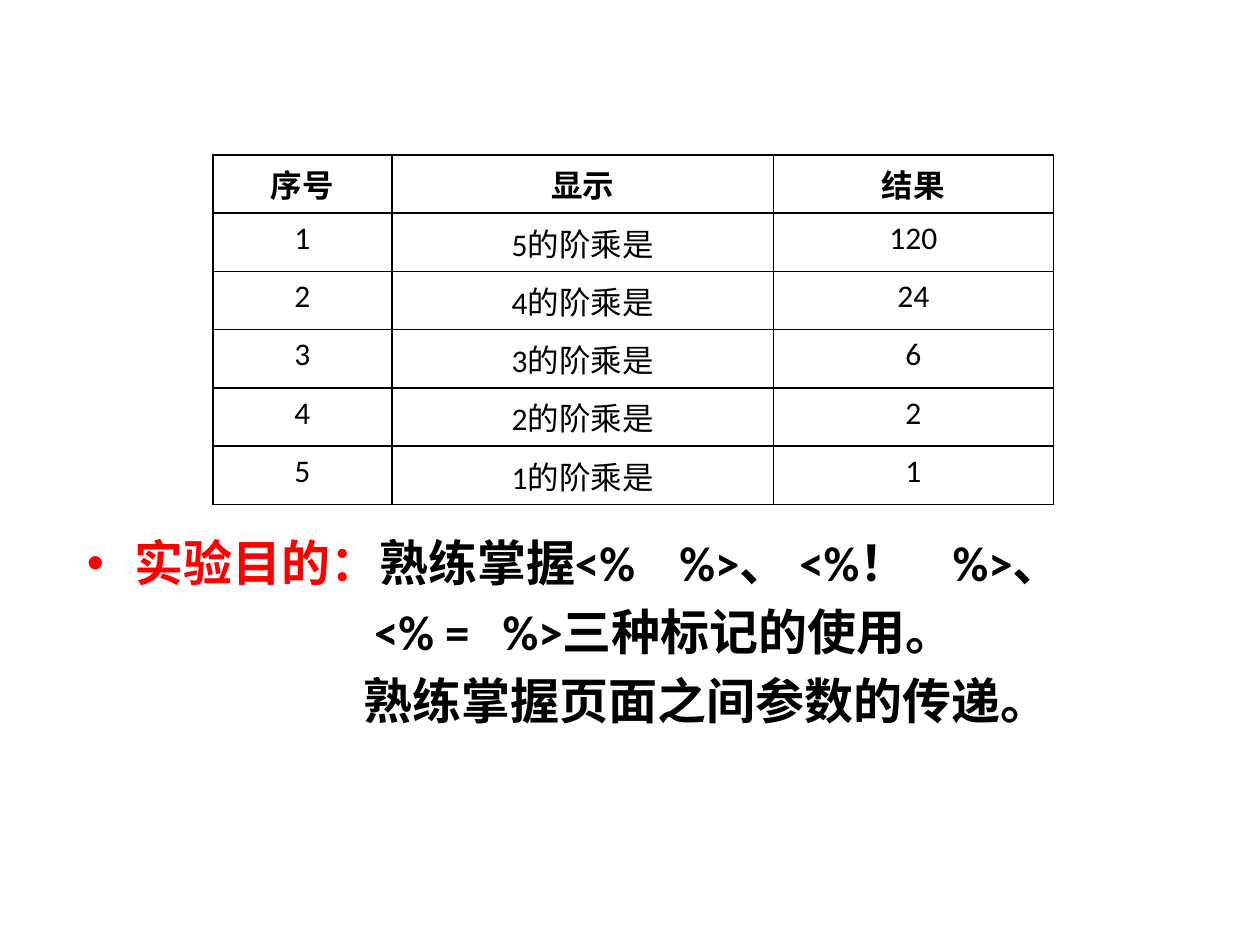
import pptx
import pptx.util
import pptx.dml.color
import pptx.enum.text
import pptx.oxml
import pptx.oxml.ns
from pptx.util import Inches

BLACK = pptx.dml.color.RGBColor(0, 0, 0)
RED = pptx.dml.color.RGBColor(255, 0, 0)
FONT = "Calibri"


def add_run(paragraph, text, size, color, bold):
    run = paragraph.add_run()
    run.text = text
    run.font.name = FONT
    run.font.size = pptx.util.Pt(size)
    run.font.bold = bold
    run.font.color.rgb = color


def add_borders(cell):
    properties = cell._tc.get_or_add_tcPr()
    for position, side in enumerate(("lnL", "lnR", "lnT", "lnB")):
        border = pptx.oxml.parse_xml(
            f'<a:{side} {pptx.oxml.ns.nsdecls("a")} w="12700"><a:solidFill>'
            f'<a:srgbClr val="{BLACK}"/></a:solidFill></a:{side}>'
        )
        properties.insert(position, border)


presentation = pptx.Presentation()
presentation.slide_width = Inches(10)
presentation.slide_height = Inches(7.5)
slide = presentation.slides.add_slide(presentation.slide_layouts[6])

rows = [("序号", "显示", "结果")]
for number, result in enumerate((120, 24, 6, 2, 1), start=1):
    rows.append((str(number), f"{6 - number}的阶乘是", str(result)))

table = slide.shapes.add_table(
    len(rows), 3, Inches(1.69), Inches(1.23), Inches(6.67), Inches(2.43)
).table
for column, width in zip(table.columns, (1.42, 3.03, 2.22)):
    column.width = Inches(width)
for row_index, values in enumerate(rows):
    for column_index, value in enumerate(values):
        cell = table.cell(row_index, column_index)
        cell.fill.background()
        add_borders(cell)
        paragraph = cell.text_frame.paragraphs[0]
        paragraph.alignment = pptx.enum.text.PP_ALIGN.CENTER
        add_run(paragraph, value, 18, BLACK, row_index == 0)

purpose = slide.shapes.add_textbox(Inches(0.59), Inches(4.18), Inches(8.82), Inches(2.32))
purpose_frame = purpose.text_frame
purpose_frame.word_wrap = True
purpose_lines = [
    (0.38, [("实验目的：", RED), ("熟练掌握<%    %>、 <%！    %>、", BLACK)]),
    (2.28, [("<% =   %>三种标记的使用。", BLACK)]),
    (2.2, [("熟练掌握页面之间参数的传递。", BLACK)]),
]
for index, (indent, runs) in enumerate(purpose_lines):
    paragraph = purpose_frame.add_paragraph() if index else purpose_frame.paragraphs[0]
    paragraph.space_before = pptx.util.Pt(5.6)
    properties = paragraph._p.get_or_add_pPr()
    properties.set("marL", str(Inches(indent)))
    if index == 0:
        properties.set("indent", str(-Inches(indent)))
        for bullet in ('buFont typeface="Arial"', 'buChar char="•"'):
            properties.append(pptx.oxml.parse_xml(f'<a:{bullet} {pptx.oxml.ns.nsdecls("a")}/>'))
    for text, color in runs:
        add_run(paragraph, text, 28, color, True)

presentation.save("out.pptx")
